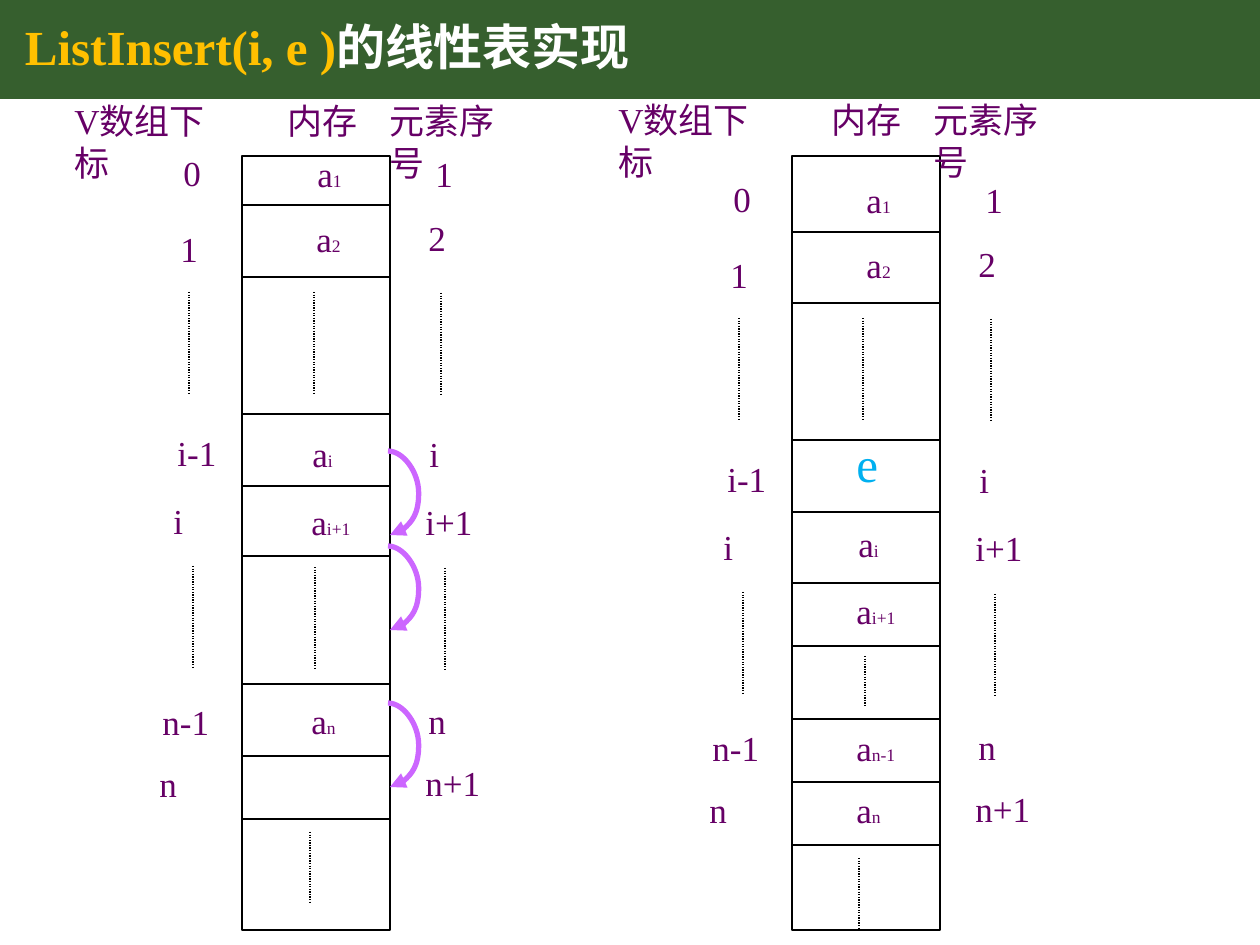
from lxml import etree
from pptx import Presentation
from pptx.dml.color import RGBColor
from pptx.enum.dml import MSO_LINE
from pptx.enum.shapes import MSO_CONNECTOR, MSO_SHAPE
from pptx.enum.text import MSO_ANCHOR, MSO_AUTO_SIZE
from pptx.oxml.ns import qn
from pptx.util import Pt

RECTANGLE = MSO_SHAPE.RECTANGLE
STRAIGHT, CURVE = MSO_CONNECTOR.STRAIGHT, MSO_CONNECTOR.CURVE
DOTTED = MSO_LINE.ROUND_DOT
MIDDLE = MSO_ANCHOR.MIDDLE
FIT = MSO_AUTO_SIZE.SHAPE_TO_FIT_TEXT

THEME = {
    "font": "Times New Roman",
    "title": 28, "label": 20, "subscript": 10, "new": 28,
    "band": "365F2E", "gold": "FFC000", "white": "FFFFFF",
    "purple": "660066", "blue": "00B0F0", "black": "000000", "violet": "CC66FF",
    "rule": 0.75, "arrow": 3,
}

# Content: (text, left, top) in px; memory cells are (subscript, left, top)
TITLE = [("ListInsert(i, e )", "gold"), ("的线性表实现", "white")]
HEADINGS = [("V数组下标", 62, 93), ("内存", 275, 93), ("元素序号", 377, 93)]
INDEXES = [("0", 171, 145), ("1", 168, 221), ("i-1", 165, 425),
           ("i", 161, 493), ("n-1", 150, 694), ("n", 147, 756)]
POSITIONS = [("1", 423, 146), ("2", 416, 210), ("i", 417, 426),
             ("i+1", 413, 494), ("n", 416, 693), ("n+1", 413, 755)]
SIDE_DOTS = [(189, 292, 102), (193, 566, 102), (441, 293, 102), (445, 568, 102)]
PANELS = [
    {"headings": (0, 0), "sides": (0, 0), "frame": 242,
     "dividers": [205, 277, 414, 486, 556, 684, 756, 819],
     "cells": [("1", 305, 146), ("2", 304, 211), ("i", 300, 426),
               ("i+1", 299, 494), ("n", 299, 693)],
     "dots": [(314, 292, 102), (315, 567, 102), (310, 832, 71)]},
    {"headings": (544, -1), "sides": (550, 26), "frame": 792,
     "dividers": [232, 303, 440, 512, 583, 646, 719, 782, 845],
     "cells": [("1", 854, 172), ("2", 854, 237), ("i", 846, 516),
               ("i+1", 844, 583), ("n-1", 844, 720), ("n", 844, 782)],
     "dots": [(863, 318, 102), (865, 656, 50), (859, 858, 72)]},
]
NEW_ELEMENT = ("e", 844, 427)
SHIFT_ARROWS = [703, 546, 451]

# Geometry in px
SCALE = 914400 / 126
SLIDE_WIDTH, SLIDE_HEIGHT = 1260, 945
BAND_HEIGHT, TITLE_WIDTH, TITLE_INSET = 99, 1086, 25
FRAME_TOP, FRAME_WIDTH, FRAME_HEIGHT = 156, 148, 774
ARROW_LEFT, ARROW_WIDTH, ARROW_HEIGHT, ARROW_BULGE = 388, 2, 84, 31
TEXT_INSETS = 25
GLYPH_WIDTHS = {"i": 0.28, "-": 0.33, "+": 0.56, "a": 0.44, "e": 0.44, "V": 0.72}


def emu(*lengths):
    return [round(length * SCALE) for length in lengths]


def color(name):
    return RGBColor.from_string(THEME[name])


def text_width(text, size):
    ems = sum(GLYPH_WIDTHS.get(glyph, 0.5 if glyph.isascii() else 1) for glyph in text)
    return ems * size * 126 / 72


def add_runs(paragraph, runs):
    for text, size, color_name, bold in runs:
        run = paragraph.add_run()
        run.text = text
        formats = {"name": THEME["font"], "size": Pt(THEME[size]), "bold": bold}
        for attribute, value in formats.items():
            setattr(run.font, attribute, value)
        run.font.color.rgb = color(color_name)


def add_label(shapes, left, top, *parts, color_name="purple", wrap=False):
    """Place a label whose box is as wide as its (text, size) parts."""
    width = TEXT_INSETS + sum(text_width(text, THEME[size]) for text, size in parts)
    height = 12 + 2.1 * THEME[parts[0][1]]
    box = shapes.add_textbox(*emu(left, top, width, height))
    formats = {"word_wrap": wrap, "auto_size": FIT}
    for attribute, value in formats.items():
        setattr(box.text_frame, attribute, value)
    add_runs(box.text_frame.paragraphs[0],
             [(text, size, color_name, False) for text, size in parts])


def add_line(shapes, left, top, right, bottom, kind=STRAIGHT,
             color_name="black", weight="rule", dash=None):
    line = shapes.add_connector(kind, *emu(left, top, right, bottom))
    line.line.color.rgb = color(color_name)
    line.line.width = Pt(THEME[weight])
    if dash:
        line.line.dash_style = dash
    etree.SubElement(line._element.spPr, qn("a:effectLst"))
    return line


def add_dots(shapes, dots, offset=(0, 0)):
    for left, top, height in dots:
        x, y = left + offset[0], top + offset[1]
        add_line(shapes, x, y, x, y + height, dash=DOTTED)


def add_rectangle(shapes, left, top, width, height):
    shape = shapes.add_shape(RECTANGLE, *emu(left, top, width, height))
    shape.shadow.inherit = False
    return shape


def add_title(slide):
    band = add_rectangle(slide.shapes, 0, 0, SLIDE_WIDTH, BAND_HEIGHT)
    band.fill.solid()
    band.fill.fore_color.rgb = color("band")
    band.line.fill.background()
    box = slide.shapes.add_textbox(*emu(0, 0, TITLE_WIDTH, BAND_HEIGHT))
    formats = {"word_wrap": True, "vertical_anchor": MIDDLE,
               "margin_left": emu(TITLE_INSET)[0]}
    for attribute, value in formats.items():
        setattr(box.text_frame, attribute, value)
    paragraph = box.text_frame.paragraphs[0]
    paragraph.line_spacing = 0.9
    add_runs(paragraph, [(text, "title", name, True) for text, name in TITLE])


def add_panel(slide, panel):
    shapes = slide.shapes.add_group_shape().shapes
    # Memory column
    left = panel["frame"]
    frame = add_rectangle(shapes, left, FRAME_TOP, FRAME_WIDTH, FRAME_HEIGHT)
    frame.fill.background()
    frame.line.color.rgb = color("black")
    frame.line.width = Pt(THEME["rule"])
    for y in panel["dividers"]:
        add_line(shapes, left, y, left + FRAME_WIDTH, y)
    for subscript, x, y in panel["cells"]:
        add_label(shapes, x, y, ("a", "label"), (subscript, "subscript"))
    add_dots(shapes, panel["dots"])
    # Headings, array indexes and element positions
    for labels, offset in ((HEADINGS, panel["headings"]),
                           (INDEXES + POSITIONS, panel["sides"])):
        for text, x, y in labels:
            add_label(shapes, x + offset[0], y + offset[1], (text, "label"),
                      wrap=text.startswith("V"))
    add_dots(shapes, SIDE_DOTS, panel["sides"])


def add_shift_arrow(slide, top):
    arrow = add_line(slide.shapes, ARROW_LEFT, top, ARROW_LEFT + ARROW_WIDTH,
                     top + ARROW_HEIGHT, CURVE, "violet", "arrow")
    properties = arrow._element.spPr
    adjustments = properties.find(qn("a:prstGeom")).get_or_add_avLst()
    bulge = round(100000 * ARROW_BULGE / ARROW_WIDTH)
    etree.SubElement(adjustments, qn("a:gd"), name="adj1", fmla=f"val {bulge}")
    etree.SubElement(properties.find(qn("a:ln")), qn("a:tailEnd"), type="triangle")


def main():
    presentation = Presentation()
    presentation.slide_width, presentation.slide_height = emu(SLIDE_WIDTH, SLIDE_HEIGHT)
    slide = presentation.slides.add_slide(presentation.slide_layouts[6])
    add_title(slide)
    for panel in PANELS:
        add_panel(slide, panel)
    for top in SHIFT_ARROWS:
        add_shift_arrow(slide, top)
    text, left, top = NEW_ELEMENT
    add_label(slide.shapes, left, top, (text, "new"), color_name="blue")
    presentation.save("out.pptx")


if __name__ == "__main__":
    main()
